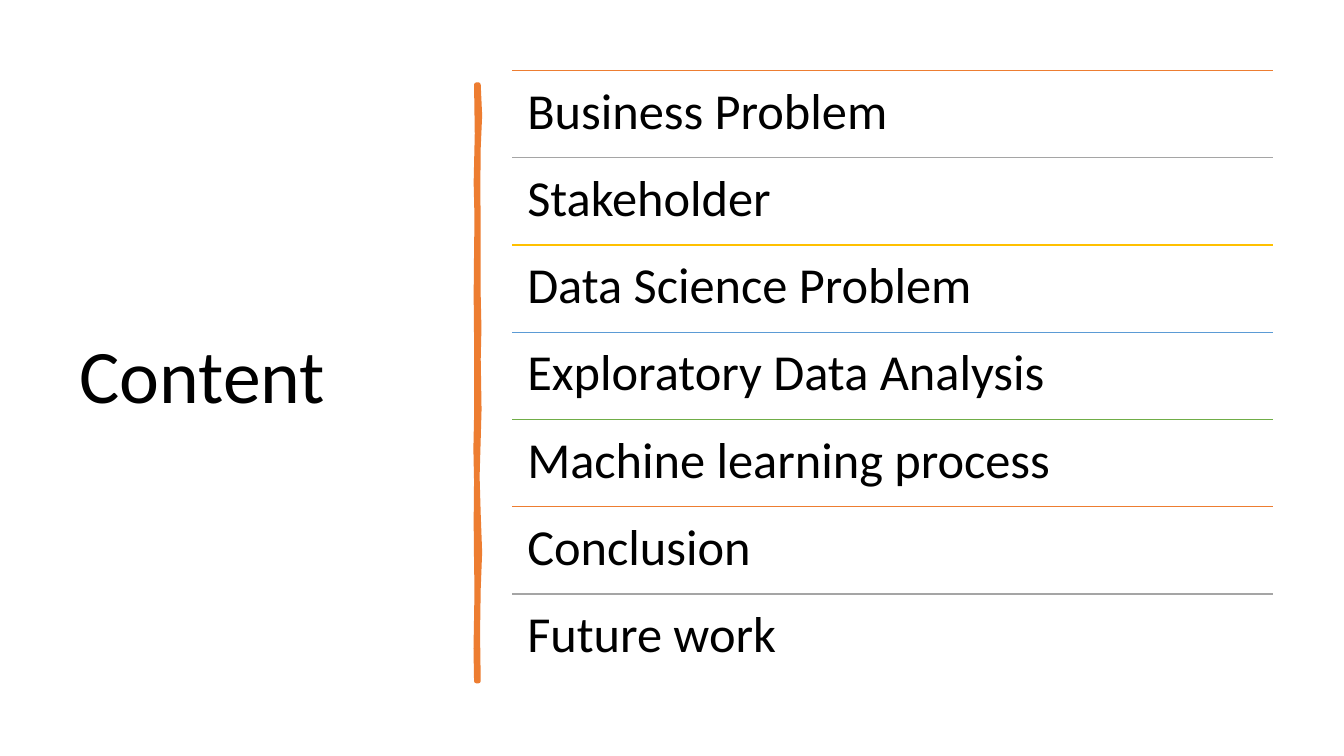
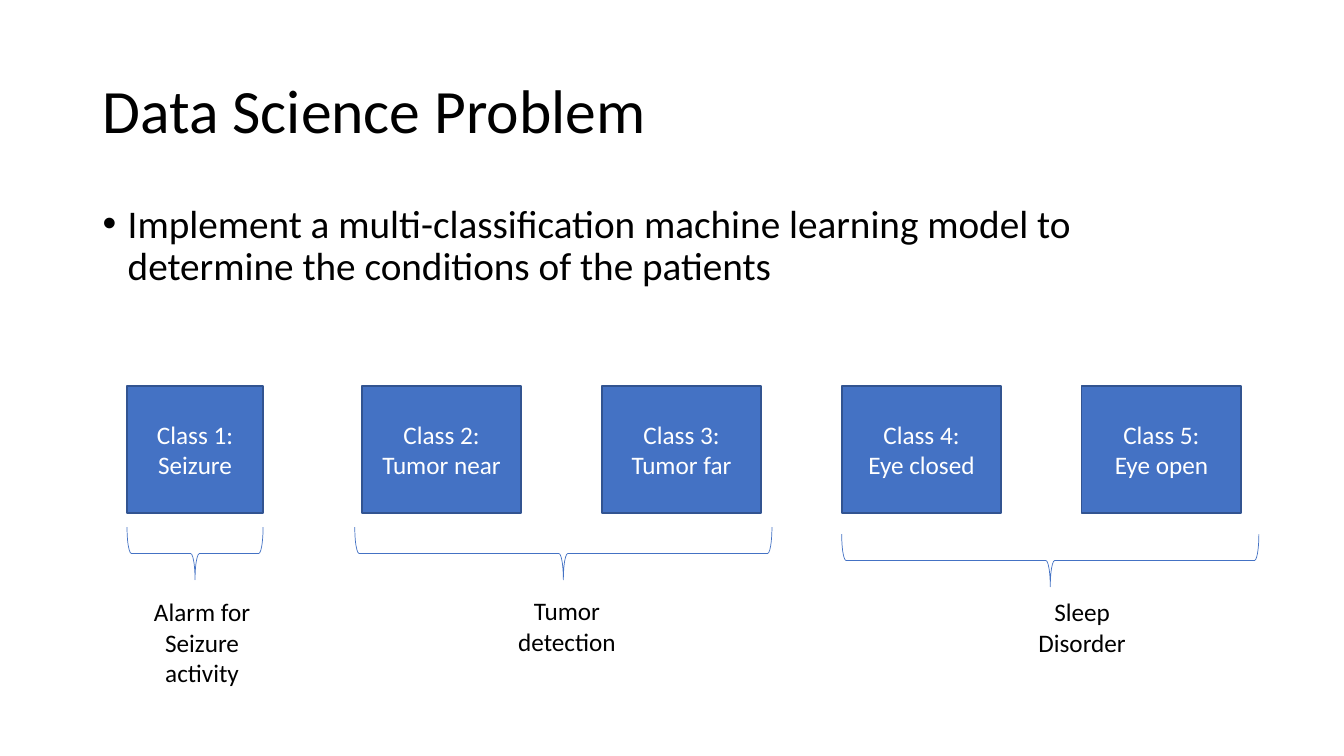
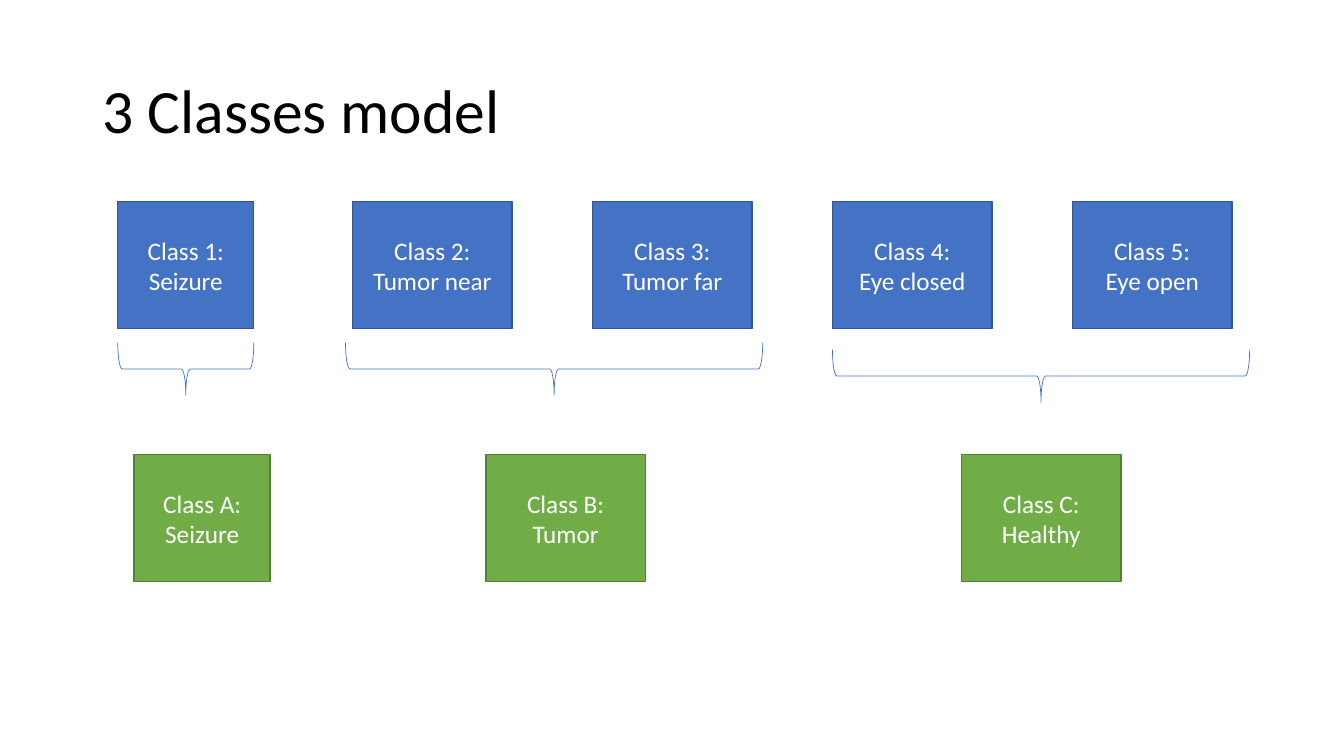
from itertools import cycle
from lxml.etree import SubElement as Sub
from pptx import Presentation
from pptx.dml.color import RGBColor
from pptx.enum.shapes import MSO_CONNECTOR as Link, MSO_SHAPE as Kind
from pptx.enum.text import MSO_ANCHOR as Anchor, PP_ALIGN as Align
from pptx.oxml.ns import qn
from pptx.util import Pt

FONT = "Calibri"
BLACK, WHITE = "000000", "FFFFFF"
BLUE, NAVY = "4472C4", "325491"
GREEN, MOSS = "70AD47", "538035"
ORANGE = "ED7D31"
RULES = [ORANGE, "A5A5A5", "FFC000", "5B9BD5", GREEN]

TOPICS = ["Business Problem", "Stakeholder", "Data Science Problem",
          "Exploratory Data Analysis", "Machine learning process",
          "Conclusion", "Future work"]
CLASSES = ["Seizure", "Tumor near", "Tumor far", "Eye closed", "Eye open"]
SLIM, WIDE, TALL = 97.2, 113.8, 90.7

# Outline of the hand-drawn bar, as (x, y) from its top left corner
RIGHT = [(3.4, 0), (4.4, 22), (3.4, 45), (3.1, 74), (3.4, 102), (3.4, 151),
         (3.9, 174), (3.4, 196), (4, 232), (3.4, 253), (2.6, 280),
         (3.4, 307), (4.4, 334), (3.4, 360), (2.9, 392), (3.4, 426)]
LEFT = [(1.9, 426), (1.5, 403), (1.9, 381), (2.2, 361), (1.9, 341),
        (1.6, 312), (1.9, 283), (1.4, 260), (1.9, 238), (1.9, 181),
        (1.6, 150), (1.9, 120), (2.2, 95), (1.6, 70), (2.4, 35), (1.9, 0)]


def rgb(code):
    return RGBColor.from_string(code)


def outline(shape, color, width):
    shape.line.color.rgb = rgb(color)
    shape.line.width = Pt(width)


def write(frame, lines, size, color=BLACK, align=Align.LEFT, lead=None):
    frame.word_wrap = True
    for i, line in enumerate(lines):
        para = frame.add_paragraph() if i else frame.paragraphs[0]
        para.text = line
        para.alignment = align
        if lead:
            para.line_spacing = lead
        font = para.font
        font.name, font.size = FONT, Pt(size)
        font.color.rgb = rgb(color)


def label(slide, box, text, size, align=Align.LEFT, lead=None, inset=None):
    frame = slide.shapes.add_textbox(*map(Pt, box)).text_frame
    if inset:
        frame.margin_left = frame.margin_right = Pt(inset)
        frame.margin_top = frame.margin_bottom = Pt(inset)
    write(frame, [text], size, align=align, lead=lead)
    return frame


def title(slide, text, box=(66.2, 28.8, 828, 104.4), size=44):
    frame = label(slide, box, text, size, lead=0.9)
    frame.vertical_anchor = Anchor.MIDDLE


def bullet(slide, box, text):
    frame = slide.shapes.add_textbox(*map(Pt, box)).text_frame
    props = frame.paragraphs[0]._p.get_or_add_pPr()
    props.set("marL", str(Pt(18)))
    props.set("indent", str(-Pt(18)))
    Sub(props, qn("a:buFont")).set("typeface", "Arial")
    Sub(props, qn("a:buChar")).set("char", "•")
    write(frame, [text], 28, lead=0.9)


def bar(slide, left, top):
    """Draw the wavy upright divider."""
    spots = [(Pt(left + x), Pt(top + y)) for x, y in RIGHT + LEFT]
    pen = slide.shapes.build_freeform(*spots[0])
    pen.add_line_segments(spots[1:], close=True)
    shape = pen.convert_to_shape()
    shape.shadow.inherit = False
    shape.fill.solid()
    shape.fill.fore_color.rgb = rgb(ORANGE)
    outline(shape, ORANGE, 3.25)


def agenda(slide, left, top, width, pitch):
    for i, (topic, color) in enumerate(zip(TOPICS, cycle(RULES))):
        y = top + i * pitch
        rule = slide.shapes.add_connector(
            Link.STRAIGHT, Pt(left), Pt(y), Pt(left + width), Pt(y))
        outline(rule, color, 1)
        Sub(rule._element.spPr, qn("a:effectLst"))
        label(slide, (left, y, width, pitch), topic, 36, lead=0.9, inset=10.8)


def tile(slide, left, top, width, lines, fill=BLUE, edge=NAVY):
    shape = slide.shapes.add_shape(
        Kind.RECTANGLE, Pt(left), Pt(top), Pt(width), Pt(TALL))
    shape.shadow.inherit = False
    shape.fill.solid()
    shape.fill.fore_color.rgb = rgb(fill)
    outline(shape, edge, 1)
    shape.text_frame.vertical_anchor = Anchor.MIDDLE
    write(shape.text_frame, lines, 18, WHITE, Align.CENTER)


def brace(slide, left, top, width, depth=37.6):
    """Draw a brace that opens upward over the given width."""
    shift = (width - depth) / 2
    shape = slide.shapes.add_shape(
        Kind.RIGHT_BRACE, Pt(left + shift), Pt(top - shift),
        Pt(depth), Pt(width))
    shape.rotation = 90
    shape.shadow.inherit = False
    shape.fill.background()
    outline(shape, BLUE, 0.5)


def classes(slide, left, top):
    """Place the five classes and the braces that group them."""
    for i, name in enumerate(CLASSES):
        x = 167.8 + (i - 1) * 171.4 if i else 0
        tile(slide, left + x, top, WIDE if i else SLIM,
             [f"Class {i + 1}:", name])
    for x, y, width in [(0, 100.8, SLIM), (162.7, 100.8, 298),
                        (510.5, 105.8, 298)]:
        brace(slide, left + x, top + y, width)


def goals(slide, left, top):
    for x, text in [(0, "Alarm for Seizure activity"),
                    (260.6, "Tumor detection"), (628.6, "Sleep Disorder")]:
        y = top - 0.7 if text.startswith("Tumor") else top
        label(slide, (left + x, y, 107.3, 51), text, 18, Align.CENTER)


def merged(slide, left, top):
    for x, width, key, name in [(0, SLIM, "A", "Seizure"),
                                (251.3, WIDE, "B", "Tumor"),
                                (591.1, WIDE, "C", "Healthy")]:
        tile(slide, left + x, top, width, [f"Class {key}:", name],
             GREEN, MOSS)


def main():
    deck = Presentation()
    deck.slide_width, deck.slide_height = Pt(960), Pt(540)
    content, problem, model = (
        deck.slides.add_slide(deck.slide_layouts[6]) for _ in range(3))

    title(content, "Content", (49.7, 50.4, 269.3, 439.9), 54)
    bar(content, 338.4, 60.5)
    agenda(content, 365.8, 50.4, 543.6, 62.3)

    title(problem, "Data Science Problem")
    bullet(problem, (66.2, 142.6, 828, 95.8),
           "Implement a multi-classification machine learning model to "
           "determine the conditions of the patients")
    classes(problem, 90.7, 275.8)
    goals(problem, 90.7, 422.6)

    title(model, "3 Classes model")
    classes(model, 84.1, 144)
    merged(model, 95.8, 324.7)

    deck.save("out.pptx")


if __name__ == "__main__":
    main()
